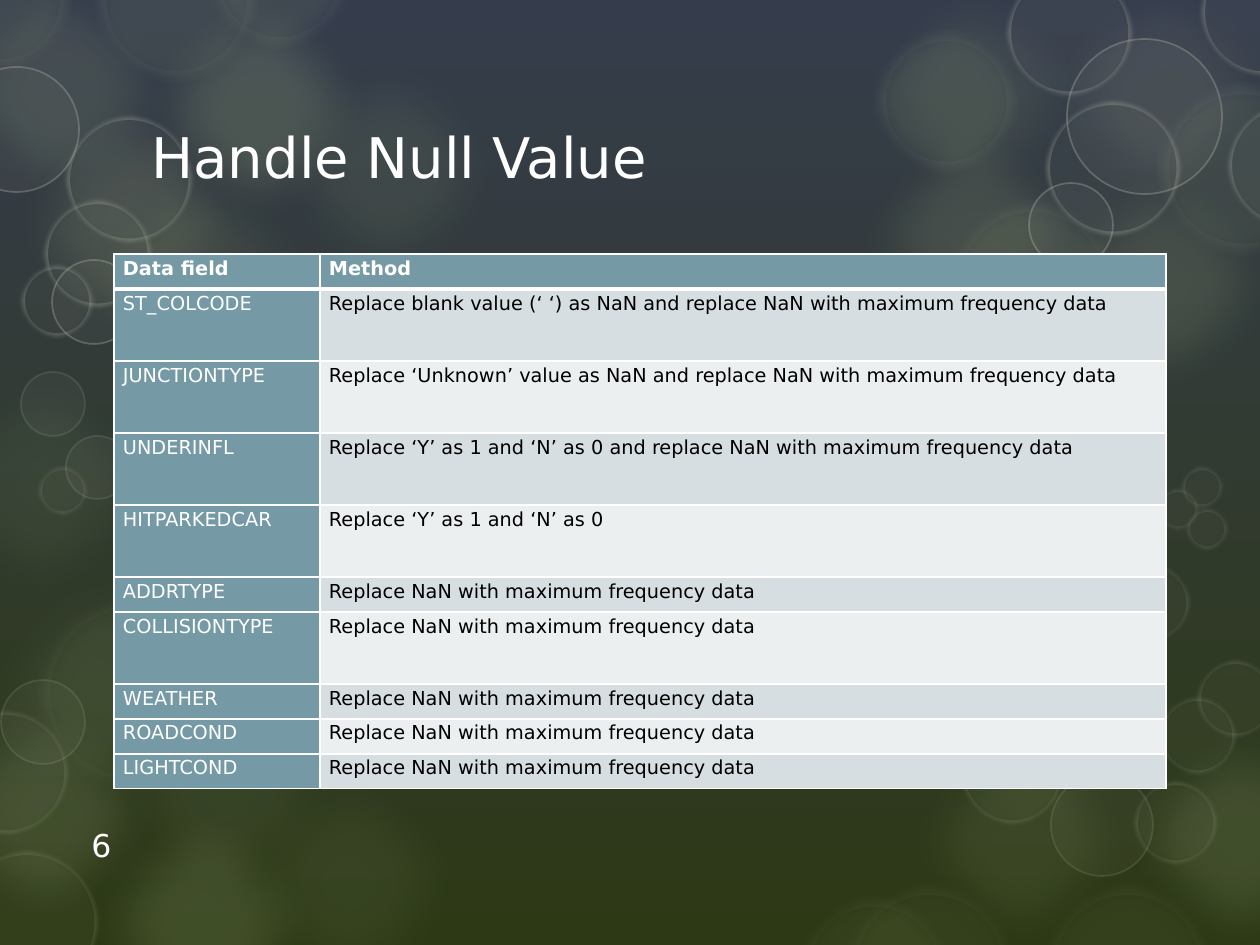
import lxml.etree
import pptx
import pptx.dml.color
import pptx.enum.shapes
import pptx.enum.text
import pptx.oxml.ns
import pptx.util

PX = 914400 // 126
FONT = "DejaVu Sans"
COLORS = {
    "sky": "353C4C",
    "ground": "2D3915",
    "moss": "AEC089",
    "mist": "ECF0E3",
    "sand": "C2C1B2",
    "white": "FFFFFF",
    "black": "000000",
    "teal": "759AA5",
    "band_dark": "D6DEE1",
    "band_light": "ECEFF0",
}

# Blurred discs: (fill colour, opacity percent, [(left, top, diameter)])
DISCS = [
    ("moss", 5, [(919, 601, 263)]),
    ("moss", 8, [(-32, 557, 263), (97, 660, 263), (218, 751, 263), (-88, 355, 263)]),
    ("moss", 10, [(72, 151, 263), (258, 39, 263), (843, -37, 263), (890, 708, 263),
                  (851, 330, 168)]),
    ("sand", 10, [(1033, -41, 263)]),
    ("moss", 14, [(-70, -41, 263)]),
    ("moss", 15, [(0, 91, 263), (1033, 151, 263), (843, 108, 263)]),
    ("moss", 16, [(72, 790, 263), (1110, 708, 263), (-86, 682, 263)]),
    ("moss", 20, [(127, -23, 263)]),
]
# Outlined circles: (fill, fill opacity, line, line width, line opacity, blur, circles)
RINGS = [
    ("moss", 10, "mist", 14, 6, 10, [
        (1157, 82, 173), (874, 29, 144), (948, 200, 168), (994, 282, 144),
        (1067, 367, 100), (94, -82, 164), (207, -95, 144), (-72, -73, 144)]),
    ("moss", 6, "mist", 14, 4, 10, [
        (38, 596, 193), (796, 895, 156), (844, 883, 171), (1043, 883, 169)]),
    ("sand", 5, "sand", 5, 15, 3, [
        (-44, 851, 142), (-55, 711, 123), (961, 722, 102), (1134, 781, 83),
        (1113, 564, 77), (1159, 697, 77), (1197, 660, 77), (1181, 466, 42),
        (1157, 488, 42), (1186, 508, 42), (38, 466, 49)]),
    ("sand", 5, "sand", 5, 30, 3, [
        (66, 116, 126), (44, 200, 107), (21, 265, 72), (1007, -30, 125),
        (1201, -50, 125), (1228, 103, 125), (1046, 101, 134)]),
    ("sand", 5, "sand", 1, 15, 0, [
        (1, 680, 84), (1051, 774, 102), (1033, 679, 102), (21, 372, 64), (66, 436, 63)]),
    ("sand", 5, "sand", 1, 30, 0, [
        (-46, 67, 125), (52, 260, 84), (1067, 39, 155), (1029, 183, 84)]),
]

FREQUENCY = "Replace NaN with maximum frequency data"
# Table rows: (field, method, height)
ROWS = [
    ("Data field", "Method", 35),
    ("ST_COLCODE", "Replace blank value (‘ ‘) as NaN and replace NaN with maximum frequency data", 72),
    ("JUNCTIONTYPE", "Replace ‘Unknown’ value as NaN and replace NaN with maximum frequency data", 72),
    ("UNDERINFL", "Replace ‘Y’ as 1 and ‘N’ as 0 and replace NaN with maximum frequency data", 72),
    ("HITPARKEDCAR", "Replace ‘Y’ as 1 and ‘N’ as 0", 72),
    ("ADDRTYPE", FREQUENCY, 35),
    ("COLLISIONTYPE", FREQUENCY, 72),
    ("WEATHER", FREQUENCY, 35),
    ("ROADCOND", FREQUENCY, 35),
    ("LIGHTCOND", FREQUENCY, 35),
]
COLUMN_WIDTHS = (206, 846)


def px(*lengths):
    return [length * PX for length in lengths]


def rgb(name):
    return pptx.dml.color.RGBColor.from_string(COLORS[name])


def add_xml(parent, tag, **attributes):
    values = {key: str(value) for key, value in attributes.items()}
    return lxml.etree.SubElement(parent, pptx.oxml.ns.qn(tag), values)


def set_opacity(fill_parent, percent):
    color = next(fill_parent.iter(pptx.oxml.ns.qn("a:srgbClr")))
    add_xml(color, "a:alpha", val=percent * 1000)


def add_text(paragraph, text, size, color, bold=False):
    run = paragraph.add_run()
    run.text = text
    run.font.name = FONT
    run.font.size = pptx.util.Pt(size)
    run.font.bold = bold
    run.font.color.rgb = rgb(color)


def add_circle(slide, circle, fill, opacity, line=None, width=0, line_opacity=0, blur=0):
    left, top, diameter = circle
    shape = slide.shapes.add_shape(
        pptx.enum.shapes.MSO_SHAPE.OVAL, *px(left, top, diameter, diameter))
    shape.shadow.inherit = False
    shape.fill.solid()
    shape.fill.fore_color.rgb = rgb(fill)
    set_opacity(shape.element.spPr, opacity)
    if line:
        shape.line.color.rgb = rgb(line)
        shape.line.width = pptx.util.Pt(width)
        set_opacity(shape.element.spPr.find(pptx.oxml.ns.qn("a:ln")), line_opacity)
    else:
        shape.line.fill.background()
    if blur:
        effects = shape.element.spPr.find(pptx.oxml.ns.qn("a:effectLst"))
        add_xml(effects, "a:softEdge", rad=pptx.util.Pt(blur))
    # Decoration belongs to the layout, behind the slide's content
    slide.slide_layout.shapes.element.append(shape.element)


def add_background(slide):
    fill = slide.background.fill
    fill.gradient()
    fill.gradient_angle = 270
    for stop, color in zip(fill.gradient_stops, ("sky", "ground")):
        stop.color.rgb = rgb(color)
    for color, opacity, circles in DISCS:
        for circle in circles:
            add_circle(slide, circle, color, opacity, blur=25)
    for *style, circles in RINGS:
        for circle in circles:
            add_circle(slide, circle, *style)


def set_title(slide, text):
    title = slide.shapes.title
    title.left, title.top, title.width, title.height = px(139, 93, 982, 127)
    title.text_frame.vertical_anchor = pptx.enum.text.MSO_ANCHOR.MIDDLE
    paragraph = title.text_frame.paragraphs[0]
    paragraph.alignment = pptx.enum.text.PP_ALIGN.LEFT
    add_text(paragraph, text, 32, "white")


def add_slide_number(slide, number):
    box = slide.shapes.add_textbox(*px(79, 820, 84, 50))
    box.text_frame.word_wrap = True
    box.text_frame.vertical_anchor = pptx.enum.text.MSO_ANCHOR.BOTTOM
    add_text(box.text_frame.paragraphs[0], number, 18, "white")


def format_cell(cell, text, color, fill, header):
    cell.margin_left, cell.margin_right, cell.margin_top, cell.margin_bottom = px(9, 9, 0, 0)
    paragraph = cell.text_frame.paragraphs[0]
    paragraph.alignment = pptx.enum.text.PP_ALIGN.JUSTIFY
    paragraph.line_spacing = 1.15
    add_text(paragraph, text, 11, color, bold=header)
    # Borders come before the fill in the cell properties
    properties = cell._tc.get_or_add_tcPr()
    for side in "LRTB":
        width = 3 if header and side == "B" else 1
        border = add_xml(properties, f"a:ln{side}", w=pptx.util.Pt(width))
        add_xml(add_xml(border, "a:solidFill"), "a:srgbClr", val=COLORS["white"])
    cell.fill.solid()
    cell.fill.fore_color.rgb = rgb(fill)


def add_method_table(slide):
    height = sum(row[2] for row in ROWS)
    frame = slide.shapes.add_table(
        len(ROWS), 2, *px(114, 254, sum(COLUMN_WIDTHS), height))
    table = frame.table
    for column, width in zip(table.columns, COLUMN_WIDTHS):
        column.width = width * PX
    for index, (field, method, row_height) in enumerate(ROWS):
        header = index == 0
        table.rows[index].height = row_height * PX
        format_cell(table.cell(index, 0), field, "white", "teal", header)
        band = "band_dark" if index % 2 else "band_light"
        color, fill = ("white", "teal") if header else ("black", band)
        format_cell(table.cell(index, 1), method, color, fill, header)


def main():
    presentation = pptx.Presentation()
    presentation.slide_width, presentation.slide_height = px(1260, 945)
    slide = presentation.slides.add_slide(presentation.slide_layouts[5])
    add_background(slide)
    set_title(slide, "Handle Null Value")
    add_slide_number(slide, "6")
    add_method_table(slide)
    presentation.save("out.pptx")


if __name__ == "__main__":
    main()
